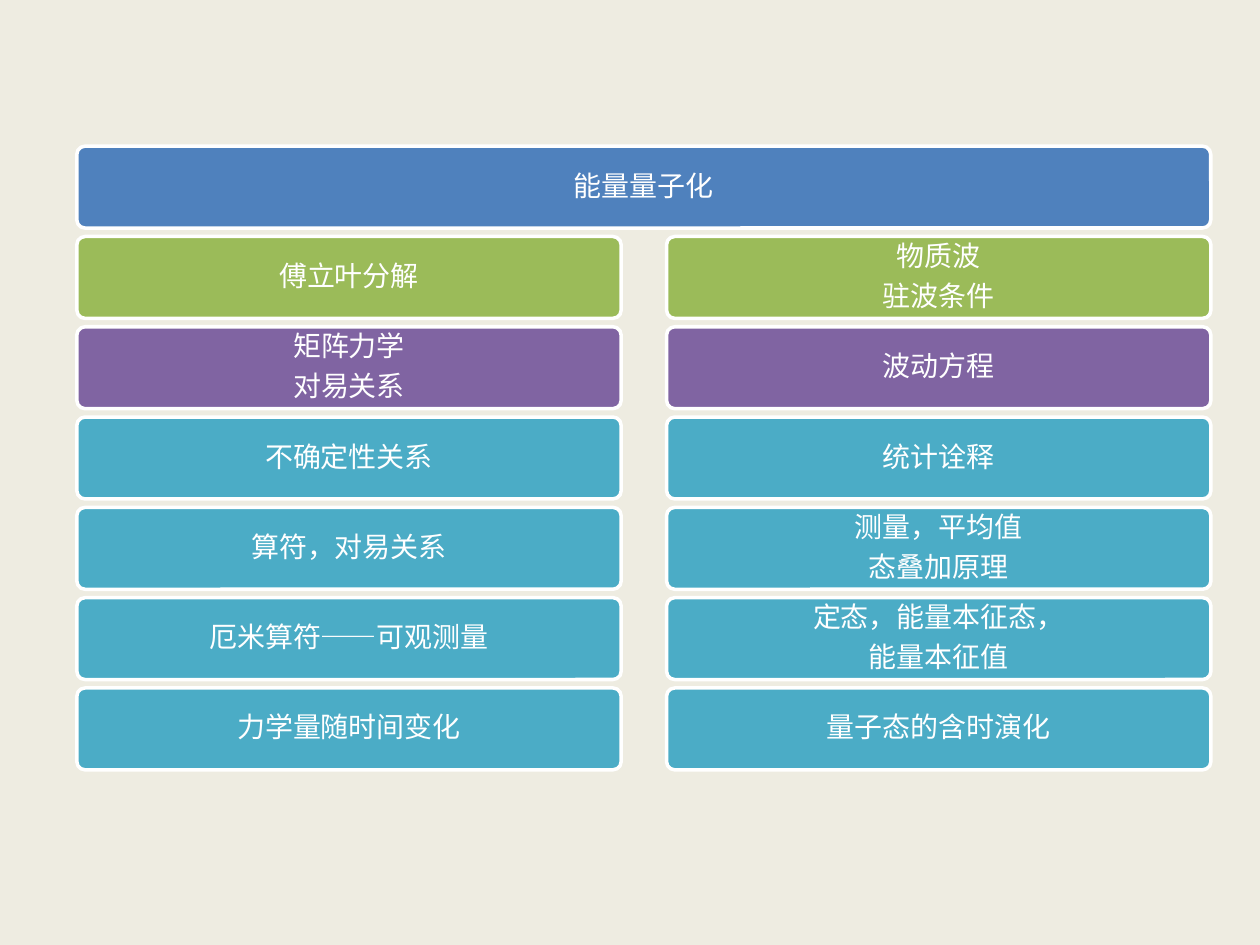
from dataclasses import dataclass

from lxml.etree import SubElement
from pptx import Presentation
from pptx.dml.color import RGBColor
from pptx.enum.shapes import MSO_SHAPE
from pptx.enum.text import MSO_ANCHOR, PP_ALIGN
from pptx.oxml.ns import qn
from pptx.slide import Slide
from pptx.text.text import _Paragraph as Para
from pptx.util import Inches, Pt

HUES = {
    "back": "EEECE1",
    "white": "FFFFFF",
    "blue": "4F81BD",
    "green": "9BBB59",
    "violet": "8064A2",
    "teal": "4BACC6",
}
WIDE, HIGH = 10, 7.5
LEFT, TOP = 0.61, 1.16
COL, ROW = 4.68, 4.3 / 6
GAP, TALL = 0.36, 0.65


@dataclass
class Box:
    text: str
    row: int
    col: int
    hue: str
    span: int = 1


TREE = [
    ("green", "傅立叶分解", "物质波\n驻波条件"),
    ("violet", "矩阵力学\n对易关系", "波动方程"),
    ("teal", "不确定性关系", "统计诠释"),
    ("teal", "算符，对易关系", "测量，平均值\n态叠加原理"),
    ("teal", "厄米算符——可观测量", "定态，能量本征态，\n能量本征值"),
    ("teal", "力学量随时间变化", "量子态的含时演化"),
]


def tint(name: str) -> RGBColor:
    return RGBColor.from_string(HUES[name])


def style(para: Para) -> None:
    para.alignment = PP_ALIGN.CENTER
    para.line_spacing = 0.9
    after = SubElement(para._p.get_or_add_pPr(), qn("a:spcAft"))
    SubElement(after, qn("a:spcPct")).set("val", "35000")
    for run in para.runs:
        run.font.name = "Times New Roman"
        run.font.size = Pt(16)
        run.font.color.rgb = tint("white")


def draw(slide: Slide, box: Box) -> None:
    shape = slide.shapes.add_shape(
        MSO_SHAPE.ROUNDED_RECTANGLE,
        Inches(LEFT + box.col * COL),
        Inches(TOP + box.row * ROW),
        Inches(box.span * COL - GAP),
        Inches(TALL),
    )
    shape.adjustments[0] = 0.1
    shape.shadow.inherit = False
    shape.fill.solid()
    shape.fill.fore_color.rgb = tint(box.hue)
    shape.line.color.rgb = tint("white")
    shape.line.width = Pt(2)
    frame = shape.text_frame
    frame.word_wrap = True
    frame.vertical_anchor = MSO_ANCHOR.MIDDLE
    frame.margin_left = frame.margin_right = Inches(0.07)
    frame.margin_top = frame.margin_bottom = Inches(0.07)
    frame.text = box.text
    for para in frame.paragraphs:
        style(para)


def main() -> None:
    deck = Presentation()
    deck.slide_width, deck.slide_height = Inches(WIDE), Inches(HIGH)
    slide = deck.slides.add_slide(deck.slide_layouts[6])
    slide.background.fill.solid()
    slide.background.fill.fore_color.rgb = tint("back")
    draw(slide, Box("能量量子化", 0, 0, "blue", span=2))
    for row, (hue, *texts) in enumerate(TREE, start=1):
        for col, text in enumerate(texts):
            draw(slide, Box(text, row, col, hue))
    deck.save("out.pptx")


if __name__ == "__main__":
    main()
